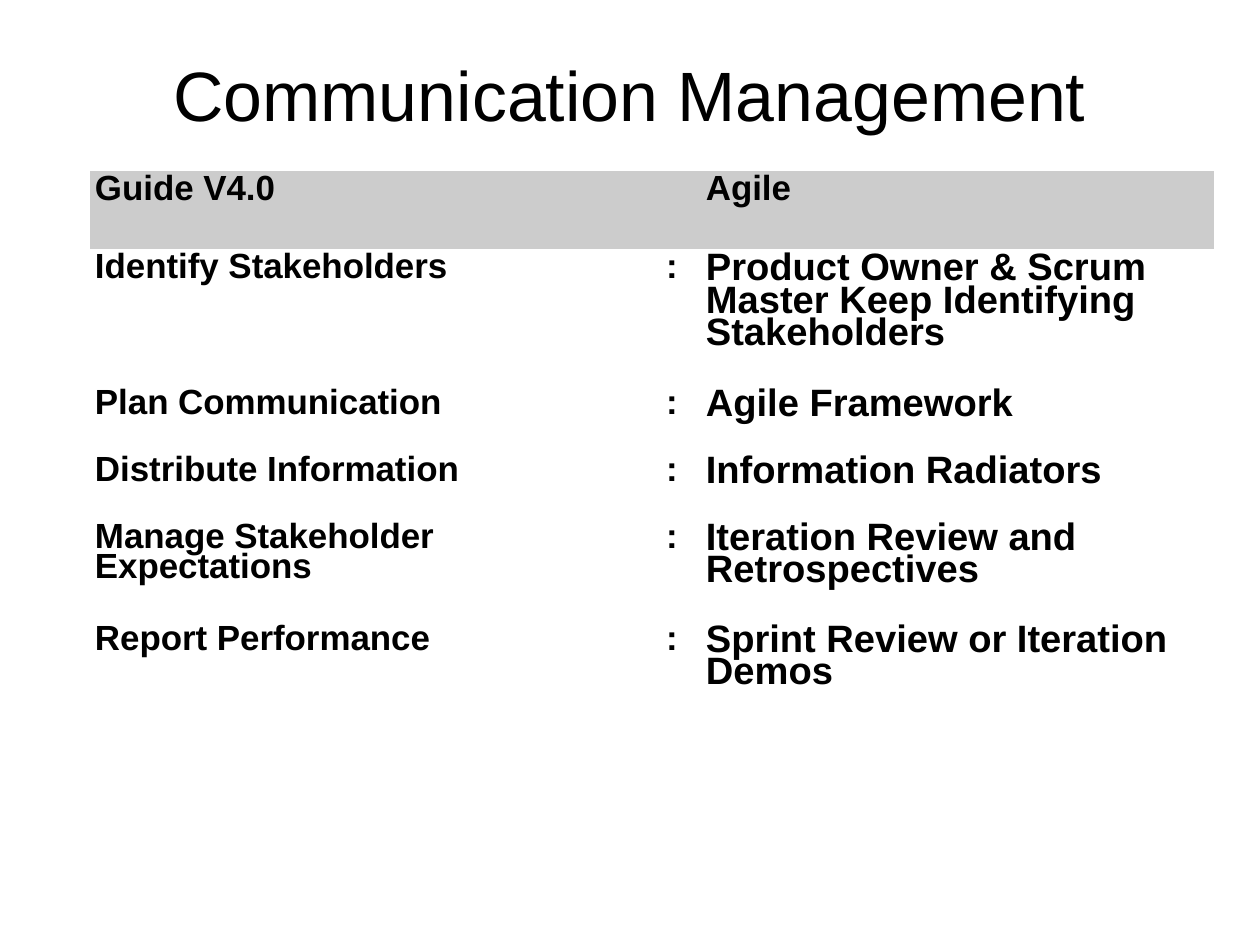
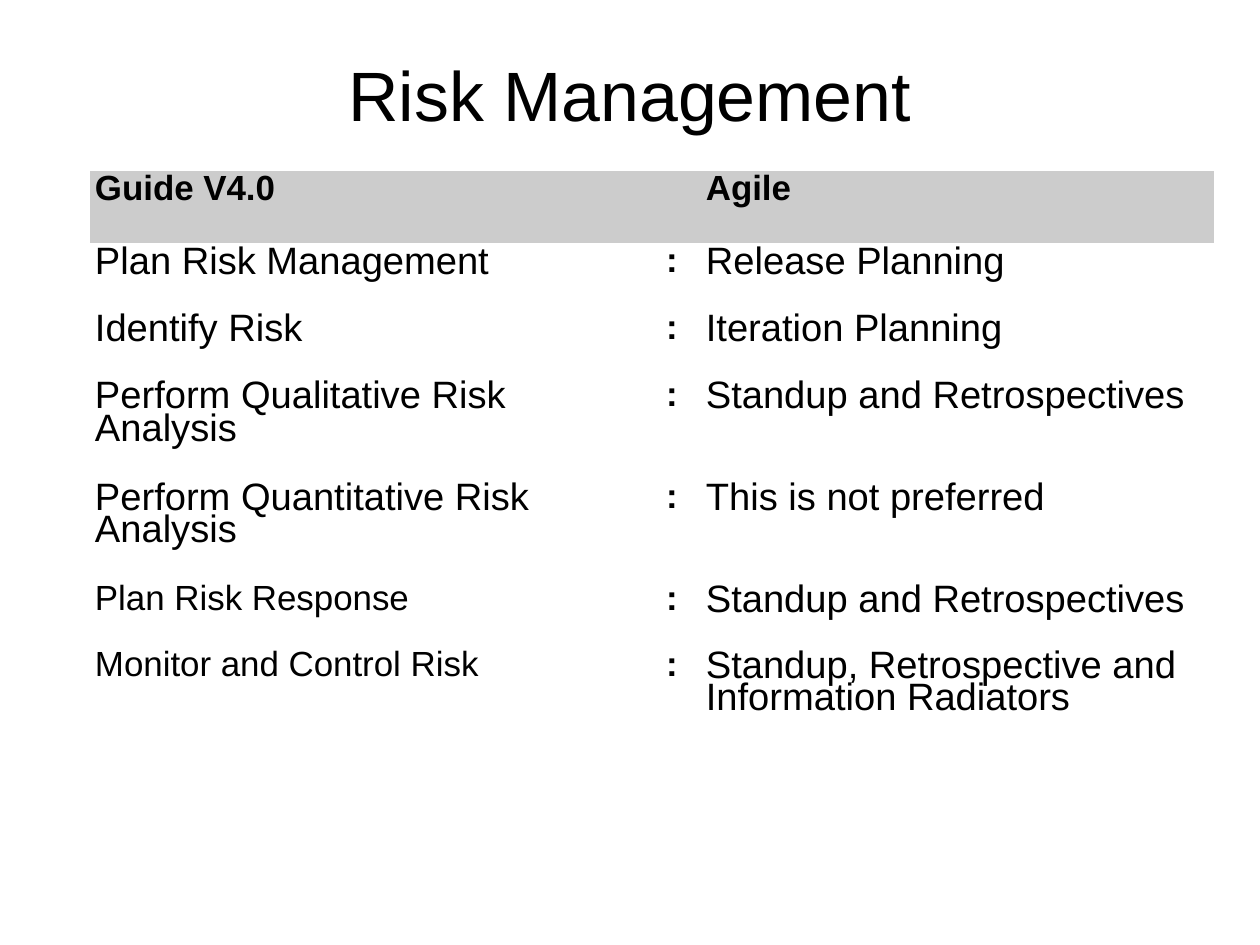
from pptx import Presentation
from pptx.dml.color import RGBColor
from pptx.enum.text import MSO_ANCHOR as Anchor, PP_ALIGN as Align
from pptx.oxml.ns import qn
from pptx.util import Pt

SCALE = 8000
FONT = "Arial"
BLACK = RGBColor(0x00, 0x00, 0x00)
WHITE = RGBColor(0xFF, 0xFF, 0xFF)
GREY = RGBColor(0xCC, 0xCC, 0xCC)
PLAIN_STYLE = "{2D5ABB26-0587-4C30-8999-92F81FD0307C}"

SLIDE_SIZE = (1260, 945)
TITLE_BOX = (63, 38, 1134, 115)
TABLE_LEFT, TABLE_TOP = 90, 171
COLUMN_WIDTHS = (553, 58, 513)
HEADER = ("Guide V4.0", "Agile")
SMALL, LARGE = 22, 24

SLIDES = [
    {
        "title": "Communication Management",
        "bold": True,
        "header_height": 78,
        "rows": [
            ("Identify Stakeholders", SMALL,
             "Product Owner & Scrum Master Keep Identifying Stakeholders", 136),
            ("Plan Communication", SMALL, "Agile Framework", 67),
            ("Distribute Information", SMALL, "Information Radiators", 67),
            ("Manage Stakeholder Expectations", SMALL,
             "Iteration Review and Retrospectives", 102),
            ("Report Performance", SMALL, "Sprint Review or Iteration Demos", 102),
        ],
    },
    {
        "title": "Risk Management",
        "bold": False,
        "header_height": 72,
        "rows": [
            ("Plan Risk Management", LARGE, "Release Planning", 67),
            ("Identify Risk", LARGE, "Iteration Planning", 67),
            ("Perform Qualitative Risk Analysis", LARGE, "Standup and Retrospectives", 102),
            ("Perform Quantitative Risk Analysis", LARGE, "This is not preferred", 102),
            ("Plan Risk Response", SMALL, "Standup and Retrospectives", 66),
            ("Monitor and Control Risk", SMALL,
             "Standup, Retrospective and Information Radiators", 102),
        ],
    },
]


def px(value):
    return value * SCALE


def write(frame, text, size=SMALL, bold=False, align=Align.LEFT, spacing=0.76):
    frame.word_wrap = True
    para = frame.paragraphs[0]
    para.alignment = align
    para.line_spacing = spacing
    span = para.add_run()
    span.text = text
    span.font.name = FONT
    span.font.size = Pt(size)
    span.font.bold = bold
    span.font.color.rgb = BLACK


def add_title(page, text):
    title = page.shapes.title
    title.left, title.top, title.width, title.height = map(px, TITLE_BOX)
    frame = title.text_frame
    frame.margin_left = frame.margin_right = frame.margin_bottom = 0
    frame.margin_top = px(5)
    frame.vertical_anchor = Anchor.MIDDLE
    write(frame, text, size=44, align=Align.CENTER, spacing=0.93)


def format_cell(cell, fill):
    cell.fill.solid()
    cell.fill.fore_color.rgb = fill
    cell.margin_left = cell.margin_right = px(5)
    cell.margin_top = cell.margin_bottom = px(6)
    cell.vertical_anchor = Anchor.TOP


def add_comparison(page, rows, header_height, bold):
    heights = [header_height] + [row[-1] for row in rows]
    frame = page.shapes.add_table(
        len(heights), len(COLUMN_WIDTHS), px(TABLE_LEFT), px(TABLE_TOP),
        px(sum(COLUMN_WIDTHS)), px(sum(heights)))
    table = frame.table
    table.first_row = table.horz_banding = False
    next(frame.element.iter(qn("a:tableStyleId"))).text = PLAIN_STYLE
    for column, width in zip(table.columns, COLUMN_WIDTHS):
        column.width = px(width)
    for index, height in enumerate(heights):
        table.rows[index].height = px(height)
        for cell in table.rows[index].cells:
            format_cell(cell, WHITE if index else GREY)
    for column, text in zip((0, 2), HEADER):
        write(table.cell(0, column).text_frame, text, bold=True)
    for index, (process, size, practice, _) in enumerate(rows, 1):
        left, middle, right = [cell.text_frame for cell in table.rows[index].cells]
        write(left, process, size=size, bold=bold)
        write(middle, ":", bold=True, align=Align.CENTER)
        write(right, practice, size=LARGE, bold=bold)


def main():
    deck = Presentation()
    deck.slide_width, deck.slide_height = map(px, SLIDE_SIZE)
    for content in SLIDES:
        page = deck.slides.add_slide(deck.slide_layouts[5])
        add_title(page, content["title"])
        add_comparison(page, content["rows"], content["header_height"], content["bold"])
    deck.save("out.pptx")


if __name__ == "__main__":
    main()
